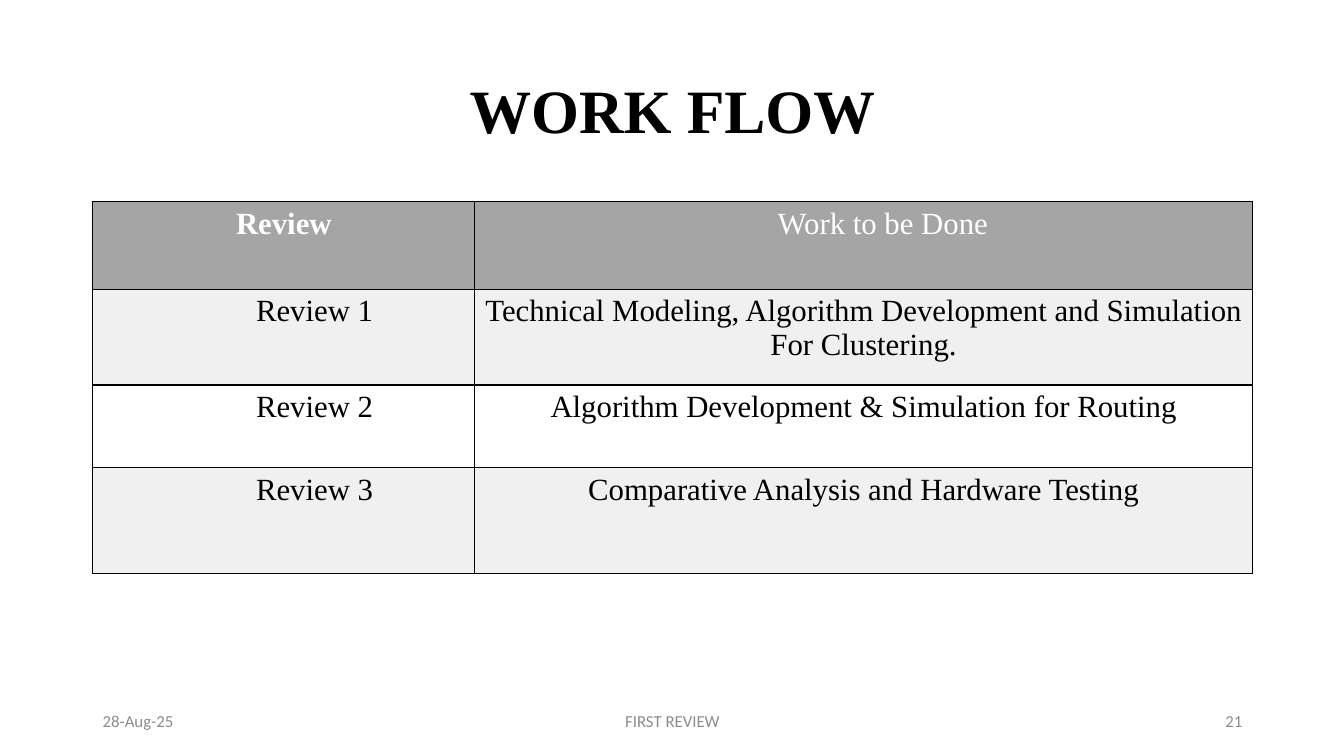
"""Build the work flow slide with its review table and footer."""
from dataclasses import dataclass

from lxml.etree import SubElement
from pptx import Presentation
from pptx.dml.color import RGBColor
from pptx.enum.text import MSO_ANCHOR as Anchor, MSO_AUTO_SIZE as AutoSize, PP_ALIGN as Align
from pptx.oxml.ns import qn
from pptx.slide import Slide
from pptx.table import _Cell as Cell
from pptx.text.text import TextFrame
from pptx.util import Inches, Pt

SERIF = "Times New Roman"
SANS = "Calibri"
BLACK, WHITE, GRAY = "000000", "FFFFFF", "8C8C8C"
HEADER_FILL, BAND_FILL = "A5A5A5", "F0F0F0"
LEFT, WIDTH = 0.92, 11.5
COLUMN_WIDTHS = (3.79, 7.71)
CELL_MARGIN = 0.1
REVIEW_MARGIN = 1.62
HEADING_MARGIN = 0.48


@dataclass(frozen=True)
class TextStyle:
    size: float
    font: str
    color: str
    bold: bool = False
    align: Align = Align.CENTER


@dataclass(frozen=True)
class CellText:
    text: str
    style: TextStyle
    margin_left: float = CELL_MARGIN


@dataclass(frozen=True)
class TableRow:
    height: float
    fill: str
    cells: tuple[CellText, CellText]


@dataclass(frozen=True)
class FooterItem:
    text: str
    left: float
    width: float
    align: Align


HEADING = TextStyle(22, SERIF, WHITE)
HEADING_BOLD = TextStyle(22, SERIF, WHITE, bold=True)
BODY = TextStyle(22, SERIF, BLACK)
BODY_LEFT = TextStyle(22, SERIF, BLACK, align=Align.LEFT)


def review_row(height: float, fill: str, review: str, work: str) -> TableRow:
    return TableRow(height, fill, (CellText(review, BODY_LEFT, REVIEW_MARGIN), CellText(work, BODY)))


ROWS = (
    TableRow(0.87, HEADER_FILL, (
        CellText("Review", HEADING_BOLD),
        CellText("Work to be Done", HEADING, HEADING_MARGIN),
    )),
    review_row(0.95, BAND_FILL, "Review 1",
               "Technical Modeling, Algorithm Development and Simulation For Clustering."),
    review_row(0.82, WHITE, "Review 2", "Algorithm Development & Simulation for Routing"),
    review_row(1.05, BAND_FILL, "Review 3", "Comparative Analysis and Hardware Testing"),
)

FOOTER = (
    FooterItem("28-Aug-25", LEFT, 3, Align.LEFT),
    FooterItem("FIRST REVIEW", 4.42, 4.5, Align.CENTER),
    FooterItem("21", 9.42, 3, Align.RIGHT),
)


def rgb(color: str) -> RGBColor:
    return RGBColor.from_string(color)


def write_text(frame: TextFrame, text: str, style: TextStyle) -> None:
    paragraph = frame.paragraphs[0]
    paragraph.alignment = style.align
    run = paragraph.add_run()
    run.text = text
    run.font.size = Pt(style.size)
    run.font.name = style.font
    run.font.bold = style.bold
    run.font.color.rgb = rgb(style.color)


def add_borders(cell: Cell, color: str, width: float) -> None:
    properties = cell._tc.get_or_add_tcPr()
    for side in ("a:lnL", "a:lnR", "a:lnT", "a:lnB"):
        line = SubElement(properties, qn(side), w=str(Pt(width)))
        SubElement(SubElement(line, qn("a:solidFill")), qn("a:srgbClr"), val=color)


def add_title(slide: Slide) -> None:
    title = slide.shapes.title
    title.left, title.top = Inches(LEFT), Inches(0.4)
    title.width, title.height = Inches(WIDTH), Inches(1.45)
    frame = title.text_frame
    frame.auto_size = AutoSize.NONE
    frame.vertical_anchor = Anchor.MIDDLE
    write_text(frame, "WORK FLOW", TextStyle(44, SERIF, BLACK, bold=True))
    frame.paragraphs[0].line_spacing = 0.9


def add_review_table(slide: Slide) -> None:
    height = sum(row.height for row in ROWS)
    table = slide.shapes.add_table(
        len(ROWS), len(COLUMN_WIDTHS), Inches(LEFT), Inches(2), Inches(WIDTH), Inches(height)
    ).table
    for column, width in zip(table.columns, COLUMN_WIDTHS):
        column.width = Inches(width)
    for table_row, row in zip(table.rows, ROWS):
        table_row.height = Inches(row.height)
        for cell, content in zip(table_row.cells, row.cells):
            cell.margin_left = Inches(content.margin_left)
            add_borders(cell, BLACK, 1)
            cell.fill.solid()
            cell.fill.fore_color.rgb = rgb(row.fill)
            write_text(cell.text_frame, content.text, content.style)


def add_footer_item(slide: Slide, item: FooterItem) -> None:
    box = slide.shapes.add_textbox(Inches(item.left), Inches(6.95), Inches(item.width), Inches(0.4))
    box.text_frame.word_wrap = True
    box.text_frame.vertical_anchor = Anchor.MIDDLE
    write_text(box.text_frame, item.text, TextStyle(12, SANS, GRAY, align=item.align))


def main() -> None:
    presentation = Presentation()
    presentation.slide_width, presentation.slide_height = Inches(13.33), Inches(7.5)
    slide = presentation.slides.add_slide(presentation.slide_layouts.get_by_name("Title Only"))
    add_title(slide)
    add_review_table(slide)
    for item in FOOTER:
        add_footer_item(slide, item)
    presentation.save("out.pptx")


if __name__ == "__main__":
    main()
